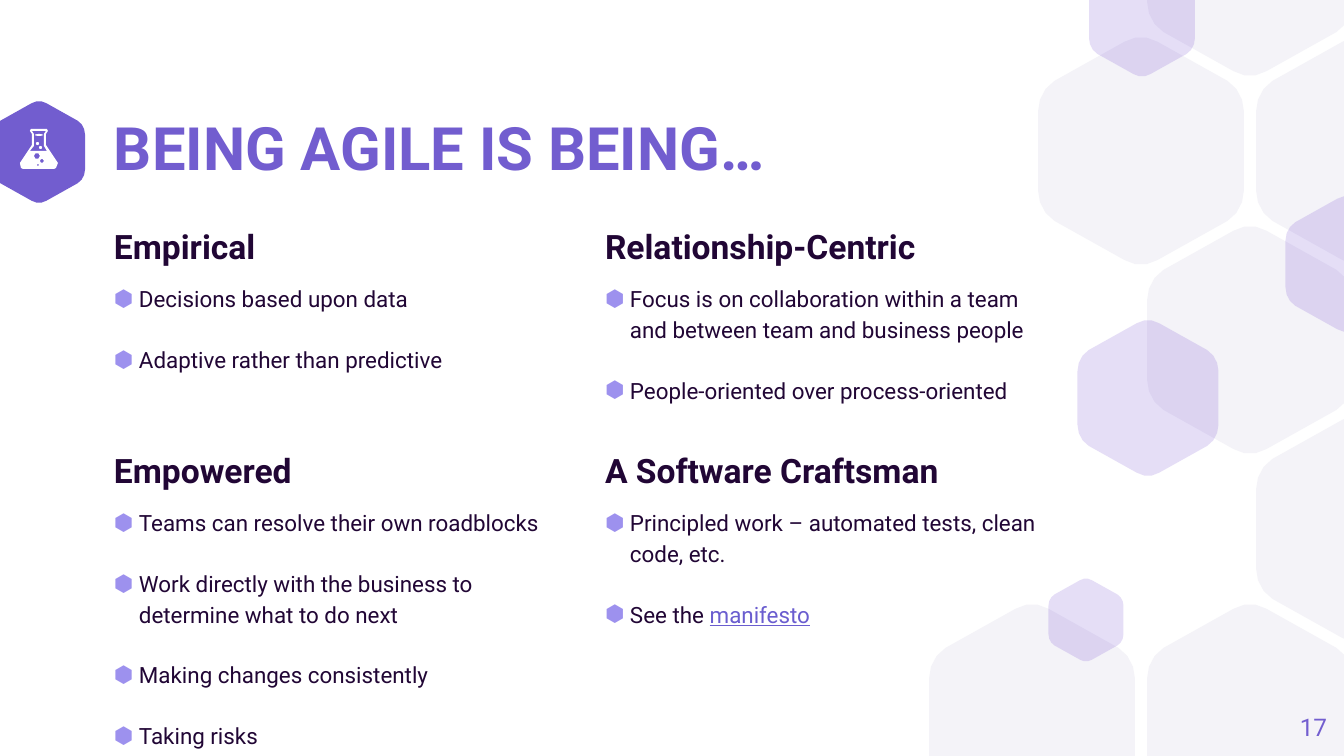
import math
from dataclasses import dataclass

import lxml.etree
import pptx
import pptx.dml.color
import pptx.enum.shapes
import pptx.enum.text
import pptx.oxml.ns
import pptx.util

EMU_PER_PX = 914400 / 134.4
SLIDE_WIDTH, SLIDE_HEIGHT = 1344, 756
FONT = "Roboto"
COLORS = {
    "accent": "725DCF",
    "link": "6A5DCF",
    "ink": "210635",
    "bullet": "9D91EE",
    "pale": "F4F3F8",
    "violet": "5322C9",
    "white": "FFFFFF",
}
Point = tuple[float, float]


@dataclass(frozen=True)
class Hexagon:
    center_x: int
    center_y: int
    width: int
    color: str
    opacity: int = 100


@dataclass(frozen=True)
class Topic:
    left: int
    top: int
    height: int
    heading: str
    points: tuple[str, ...]
    space_after: int = 8
    link: str = ""


LATTICE = ((0, 4), (2, 4), (3, 1), (2, 0), (2, 2), (1, 1), (3, 3))
HEXAGONS = (
    Hexagon(39, 152, 92, "accent"),
    *(Hexagon(1032 + 109 * column, 189 * row - 38, 206, "pale") for column, row in LATTICE),
    Hexagon(1347, 264, 123, "violet", 15),
    Hexagon(1086, 620, 75, "violet", 15),
    Hexagon(1142, 18, 106, "violet", 15),
    Hexagon(1148, 398, 141, "violet", 15),
)
LEFT_COLUMN, RIGHT_COLUMN = 114, 605
TOP_ROW, BOTTOM_ROW = 220, 444
TOPICS = (
    Topic(LEFT_COLUMN, TOP_ROW, 222, "Empirical",
          ("Decisions based upon data", "Adaptive rather than predictive")),
    Topic(RIGHT_COLUMN, TOP_ROW, 202, "Relationship-Centric",
          ("Focus is on collaboration within a team and between team and business people",
           "People-oriented over process-oriented"), space_after=0),
    Topic(RIGHT_COLUMN, BOTTOM_ROW, 202, "A Software Craftsman",
          ("Principled work – automated tests, clean code, etc.", "See the "), link="manifesto"),
    Topic(LEFT_COLUMN, BOTTOM_ROW, 202, "Empowered",
          ("Teams can resolve their own roadblocks",
           "Work directly with the business to determine what to do next",
           "Making changes consistently", "Taking risks")),
)
FLASK_OUTSIDE = [(31, 129), (47, 129), (48, 131), (46, 134), (46, 145), (58, 163), (56, 168),
                 (54, 169), (23, 169), (21, 168), (20, 163), (32, 145), (32, 134), (30, 131)]
FLASK_INSIDE = [(32, 131), (34, 134), (34, 146), (30, 151), (47, 151), (44, 146), (44, 134), (46, 131)]
LIQUID_BUBBLES = ((37, 156, 3), (42, 161, 2), (38, 165, 1))
NECK_DETAILS = ((39, 146, 3, 3), (36, 142, 3, 3), (35, 134, 8, 2))


def px(length: float) -> int:
    return round(length * EMU_PER_PX)


def rgb(name: str) -> pptx.dml.color.RGBColor:
    return pptx.dml.color.RGBColor.from_string(COLORS[name])


def paint(shape, color: str, opacity: int = 100) -> None:
    shape.shadow.inherit = False
    shape.fill.solid()
    shape.fill.fore_color.rgb = rgb(color)
    shape.line.fill.background()
    if opacity < 100:
        tint = shape.element.spPr.find(".//" + pptx.oxml.ns.qn("a:srgbClr"))
        lxml.etree.SubElement(tint, pptx.oxml.ns.qn("a:alpha"), val=str(opacity * 1000))


def draw_outline(slide, contours: list[list[Point]], color: str, opacity: int = 100) -> None:
    scaled = [[(px(x), px(y)) for x, y in contour] for contour in contours]
    builder = slide.shapes.build_freeform(*scaled[0][0], scale=1.0)
    builder.add_line_segments(scaled[0][1:], close=True)
    for contour in scaled[1:]:
        builder.move_to(*contour[0])
        builder.add_line_segments(contour[1:], close=True)
    paint(builder.convert_to_shape(), color, opacity)


def bezier(controls: tuple[Point, ...], steps: int = 3) -> list[Point]:
    curve = []
    for step in range(steps + 1):
        t = step / steps
        weights = ((1 - t) ** 3, 3 * t * (1 - t) ** 2, 3 * t * t * (1 - t), t ** 3)
        curve.append(tuple(sum(w * c[axis] for w, c in zip(weights, controls)) for axis in (0, 1)))
    return curve


def draw_hexagon(slide, hexagon: Hexagon) -> None:
    shoulder = bezier(((0.5, 0.19), (0.5, 0.25), (0.47, 0.31), (0.42, 0.34)))
    tip = bezier(((0.08, 0.53), (0.03, 0.56), (-0.03, 0.56), (-0.08, 0.53)))
    upper = shoulder + tip + [(-x, y) for x, y in reversed(shoulder)]
    outline = upper + [(-x, -y) for x, y in upper]
    points = [(hexagon.center_x + x * hexagon.width,
               min(max(hexagon.center_y + y * hexagon.width, 0), SLIDE_HEIGHT)) for x, y in outline]
    draw_outline(slide, [list(dict.fromkeys(points))], hexagon.color, hexagon.opacity)


def circle(center_x: int, center_y: int, radius: int, sides: int = 6) -> list[Point]:
    angles = [-2 * math.pi * side / sides for side in range(sides)]
    return [(center_x + radius * math.cos(a), center_y + radius * math.sin(a)) for a in angles]


def draw_flask(slide) -> None:
    bubbles = [circle(*bubble) for bubble in LIQUID_BUBBLES]
    draw_outline(slide, [FLASK_OUTSIDE, FLASK_INSIDE, *bubbles], "white")
    for detail in NECK_DETAILS:
        mark = slide.shapes.add_shape(pptx.enum.shapes.MSO_SHAPE.OVAL, *map(px, detail))
        paint(mark, "white")


def prepare_frame(frame, anchor) -> None:
    frame.word_wrap = True
    frame.auto_size = pptx.enum.text.MSO_AUTO_SIZE.NONE
    frame.vertical_anchor = anchor
    frame.margin_left = frame.margin_top = frame.margin_right = frame.margin_bottom = 0


def style_run(run, size: int, color: str, bold: bool = False) -> None:
    run.font.name = FONT
    run.font.size = pptx.util.Pt(size)
    run.font.bold = bold
    run.font.color.rgb = rgb(color)


def add_bullet(paragraph) -> None:
    qn = pptx.oxml.ns.qn
    properties = paragraph._p.get_or_add_pPr()
    properties.set("marL", str(px(25)))
    properties.set("indent", str(px(-25)))
    bullet_color = lxml.etree.SubElement(properties, qn("a:buClr"))
    lxml.etree.SubElement(bullet_color, qn("a:srgbClr"), val=COLORS["bullet"])
    lxml.etree.SubElement(properties, qn("a:buFont"), typeface=FONT)
    lxml.etree.SubElement(properties, qn("a:buChar"), char="⬢")


def draw_topic(slide, topic: Topic) -> None:
    frame = slide.shapes.add_textbox(px(topic.left), px(topic.top), px(439), px(topic.height)).text_frame
    prepare_frame(frame, pptx.enum.text.MSO_ANCHOR.TOP)
    heading = frame.paragraphs[0]
    heading.text = topic.heading
    heading.line_spacing = 1.15
    style_run(heading.runs[0], 18, "ink", bold=True)
    for index, wording in enumerate(topic.points):
        point = frame.add_paragraph()
        point.text = wording
        point.line_spacing = 1.15
        point.space_before = pptx.util.Pt(16 if index else 8)
        if index == len(topic.points) - 1:
            point.space_after = pptx.util.Pt(topic.space_after)
        add_bullet(point)
        style_run(point.runs[0], 12, "ink")
    if topic.link:
        link = point.add_run()
        link.text = topic.link
        style_run(link, 12, "link")
        link.font.underline = True


def draw_title(slide) -> None:
    title = slide.shapes.title
    title.left, title.top, title.width, title.height = map(px, (LEFT_COLUMN, 122, 1064, 58))
    prepare_frame(title.text_frame, pptx.enum.text.MSO_ANCHOR.MIDDLE)
    title.text_frame.text = "BEING AGILE IS BEING…"
    wording = title.text_frame.paragraphs[0]
    wording.alignment = pptx.enum.text.PP_ALIGN.LEFT
    wording.line_spacing = 0.9
    style_run(wording.runs[0], 32, "accent", bold=True)


def draw_page_number(slide) -> None:
    frame = slide.shapes.add_textbox(*map(px, (1246, 698, 81, 58))).text_frame
    prepare_frame(frame, pptx.enum.text.MSO_ANCHOR.MIDDLE)
    frame.text = "17"
    frame.paragraphs[0].alignment = pptx.enum.text.PP_ALIGN.RIGHT
    style_run(frame.paragraphs[0].runs[0], 13, "accent")


def main() -> None:
    deck = pptx.Presentation()
    deck.slide_width, deck.slide_height = px(SLIDE_WIDTH), px(SLIDE_HEIGHT)
    slide = deck.slides.add_slide(deck.slide_layouts[5])
    for hexagon in HEXAGONS:
        draw_hexagon(slide, hexagon)
    draw_title(slide)
    for topic in TOPICS:
        draw_topic(slide, topic)
    draw_page_number(slide)
    draw_flask(slide)
    deck.save("out.pptx")


if __name__ == "__main__":
    main()
